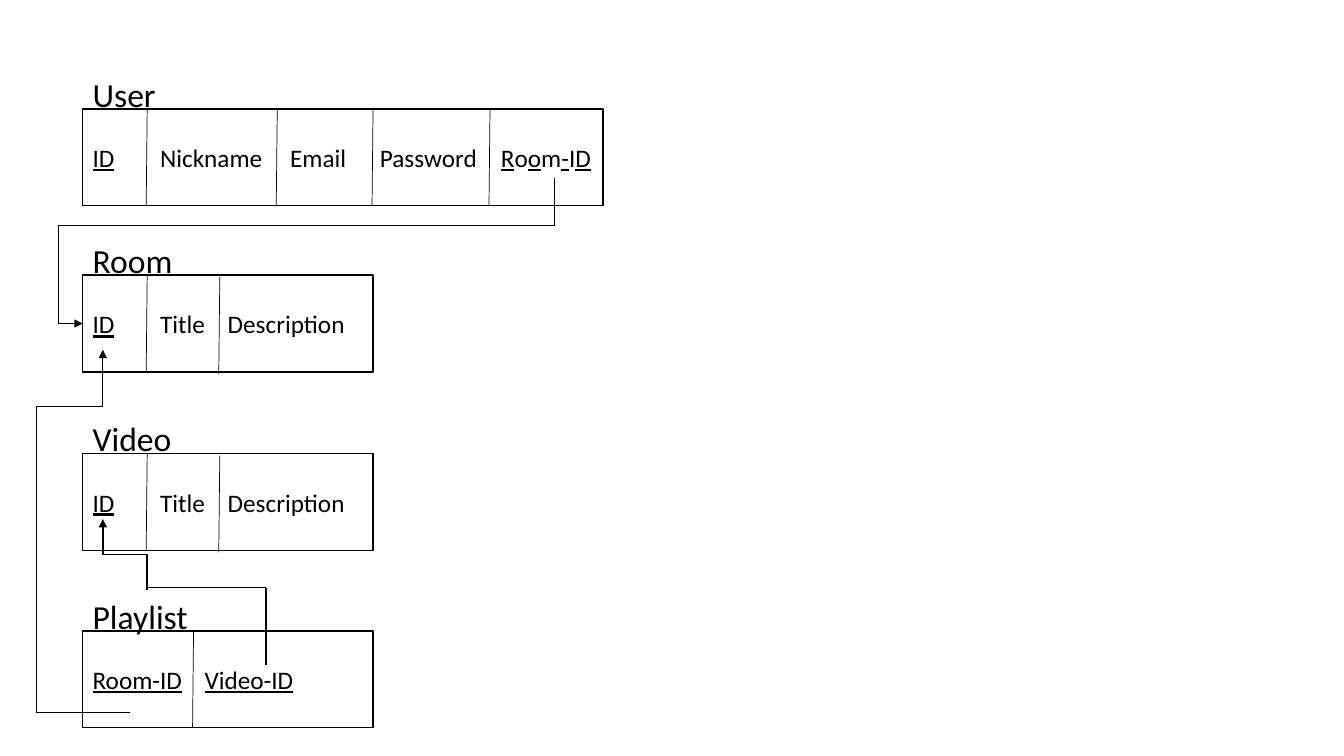
from dataclasses import dataclass

from lxml import etree
from pptx import Presentation
from pptx.dml.color import RGBColor
from pptx.enum.shapes import MSO_CONNECTOR, MSO_SHAPE
from pptx.enum.text import MSO_ANCHOR, MSO_AUTO_SIZE, PP_ALIGN
from pptx.oxml.ns import qn
from pptx.util import Inches, Pt

STRAIGHT = MSO_CONNECTOR.STRAIGHT
ELBOW = MSO_CONNECTOR.ELBOW
RECTANGLE = MSO_SHAPE.RECTANGLE
MIDDLE = MSO_ANCHOR.MIDDLE
TOP = MSO_ANCHOR.TOP
LEFT = PP_ALIGN.LEFT
GROW = MSO_AUTO_SIZE.SHAPE_TO_FIT_TEXT

CELLS_PER_INCH = 10
BLANK_LAYOUT = 6
QUARTER_TURN_BACK = "16200000"

RELATION_LEFT = 8.2
RELATION_HEIGHT = 9.6
NAME_RISE = 4
NAME_SIZE = (29.7, 5)
DIVIDER_LEAN = 0.1


@dataclass(frozen=True)
class Theme:
    font: str = "Calibri"
    ink: RGBColor = RGBColor(0, 0, 0)
    paper: RGBColor = RGBColor(255, 255, 255)
    name_size: int = 24
    field_size: int = 18
    outline: float = 1
    divider: float = 0.5


THEME = Theme()
KEY = [("ID", True)]
DESCRIBED = KEY + [("\tTitle\tDescription", False)]
ROOM_KEY = [(letter, place % 2 == 0) for place, letter in enumerate("Room-ID")]
USER_FIELDS = KEY + [("\tNickname\tEmail\tPassword\t", False)] + ROOM_KEY

RELATIONS = [
    ("User", 10.8, 51.6, USER_FIELDS, (6.7, 19.6, 28.5, 40.5),
     ((6.4, 0), (19.3, 0), (28.8, 0), (40.4, 0))),
    ("Room", 27.3, 28.8, DESCRIBED, (6.7, 13.4), ((6.4, 0), (13.6, 0.2))),
    ("Video", 45, 28.8, DESCRIBED, (6.7, 13.4), ((6.4, 0), (13.6, 0.2))),
    ("Playlist", 62.6, 28.8, [("Room-ID\tVideo-ID", True)], (11.1,), ((11, 0),)),
]


def cells(count):
    return Inches(count / CELLS_PER_INCH)


def write_text(shape, runs, size, anchor=TOP, tabs=()):
    frame = shape.text_frame
    frame.word_wrap = True
    frame.vertical_anchor = anchor
    paragraph = frame.paragraphs[0]
    paragraph.alignment = LEFT
    if tabs:
        stops = etree.SubElement(paragraph._p.get_or_add_pPr(), qn("a:tabLst"))
        for stop in tabs:
            etree.SubElement(stops, qn("a:tab"), pos=str(cells(stop)), algn="l")
    for text, underlined in runs:
        run = paragraph.add_run()
        run.text = text
        run.font.name = THEME.font
        run.font.size = Pt(size)
        run.font.color.rgb = THEME.ink
        run.font.underline = underlined


def add_line(slide, start, end, width=THEME.outline, kind=STRAIGHT):
    line = slide.shapes.add_connector(kind, *map(cells, (*start, *end)))
    line.line.color.rgb = THEME.ink
    line.line.width = Pt(width)
    etree.SubElement(line._element.spPr, qn("a:effectLst"))
    return line


def add_path(slide, *points):
    for start, end in zip(points, points[1:]):
        add_line(slide, start, end)


def add_arrowhead(line):
    etree.SubElement(line.line._get_or_add_ln(), qn("a:tailEnd"), type="triangle")


def add_side_arrow(slide, start, end, bend):
    arrow = add_line(slide, start, end, kind=ELBOW)
    adjustments = arrow._element.spPr.find(qn("a:prstGeom")).get_or_add_avLst()
    share = round(100000 * (start[0] - bend) / (start[0] - end[0]))
    etree.SubElement(adjustments, qn("a:gd"), name="adj1", fmla=f"val {share}")
    add_arrowhead(arrow)


def add_upward_arrow(slide, start, end):
    middle_x, middle_y = (start[0] + end[0]) / 2, (start[1] + end[1]) / 2
    half_rise, half_shift = (start[1] - end[1]) / 2, (end[0] - start[0]) / 2
    arrow = add_line(slide, (middle_x - half_rise, middle_y - half_shift),
                     (middle_x + half_rise, middle_y + half_shift), kind=ELBOW)
    arrow._element.spPr.find(qn("a:xfrm")).set("rot", QUARTER_TURN_BACK)
    add_arrowhead(arrow)


def add_relation(slide, name, top, width, fields, tabs, dividers):
    relation = slide.shapes.add_shape(
        RECTANGLE, *map(cells, (RELATION_LEFT, top, width, RELATION_HEIGHT)))
    relation.shadow.inherit = False
    relation.fill.solid()
    relation.fill.fore_color.rgb = THEME.paper
    relation.line.color.rgb = THEME.ink
    relation.line.width = Pt(THEME.outline)
    write_text(relation, fields, THEME.field_size, anchor=MIDDLE, tabs=tabs)

    heading = slide.shapes.add_textbox(
        *map(cells, (RELATION_LEFT, top - NAME_RISE, *NAME_SIZE)))
    write_text(heading, [(name, False)], THEME.name_size)
    heading.text_frame.auto_size = GROW

    for offset, drop in dividers:
        x, y = RELATION_LEFT + offset, top + drop
        add_line(slide, (x, y), (x - DIVIDER_LEAN, y + RELATION_HEIGHT),
                 width=THEME.divider)


def add_references(slide):
    user_turn = (55, 22.4)
    add_side_arrow(slide, user_turn, (RELATION_LEFT, 32.1), bend=5.8)
    add_path(slide, user_turn, (55, 17.7))

    room_turn = (3.6, 46)
    add_upward_arrow(slide, room_turn, (10.2, 34.7))
    add_path(slide, room_turn, (3.6, 70.7), (12.9, 70.7))

    add_upward_arrow(slide, (14.6, 58.5), (10.2, 51.5))
    add_path(slide, (14.6, 58.3), (26.4, 58.3), (26.4, 66))


def main():
    deck = Presentation()
    deck.slide_width = Inches(13.33)
    deck.slide_height = Inches(7.5)
    slide = deck.slides.add_slide(deck.slide_layouts[BLANK_LAYOUT])
    for relation in RELATIONS:
        add_relation(slide, *relation)
    add_references(slide)
    deck.save("out.pptx")


main()
